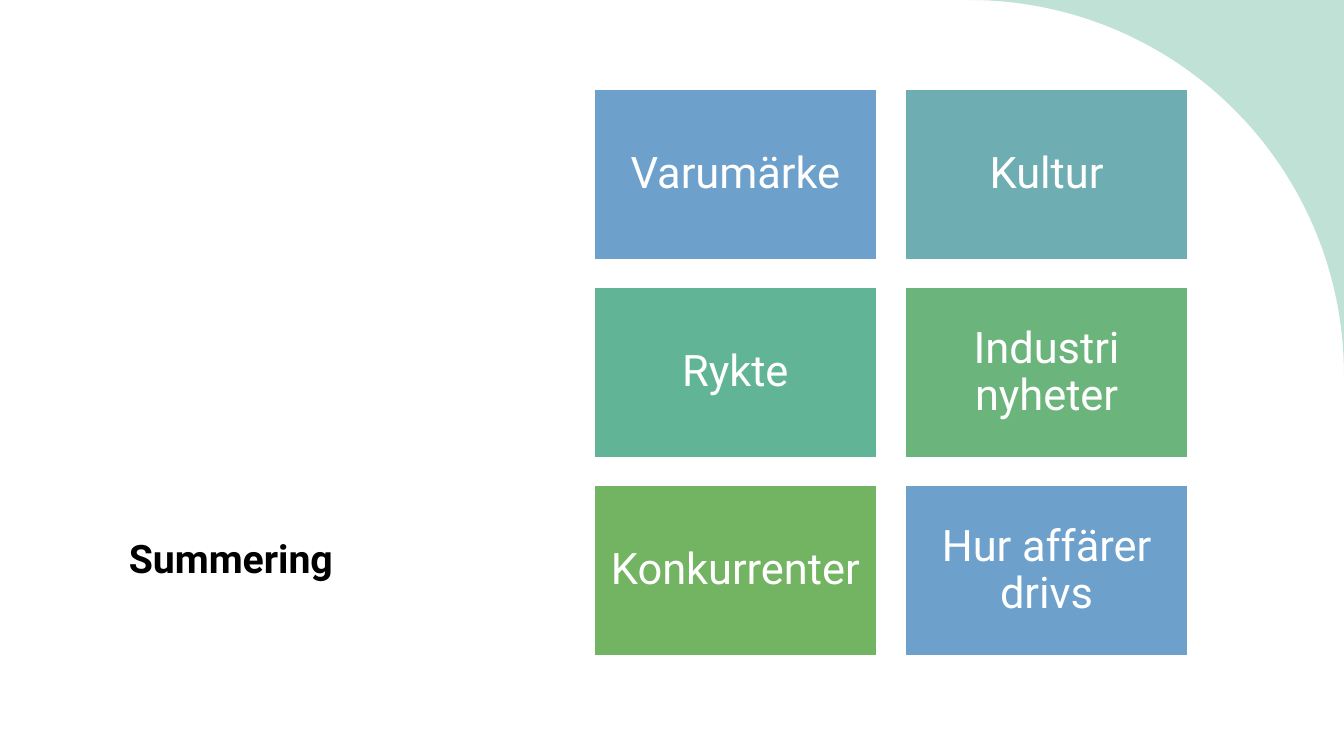
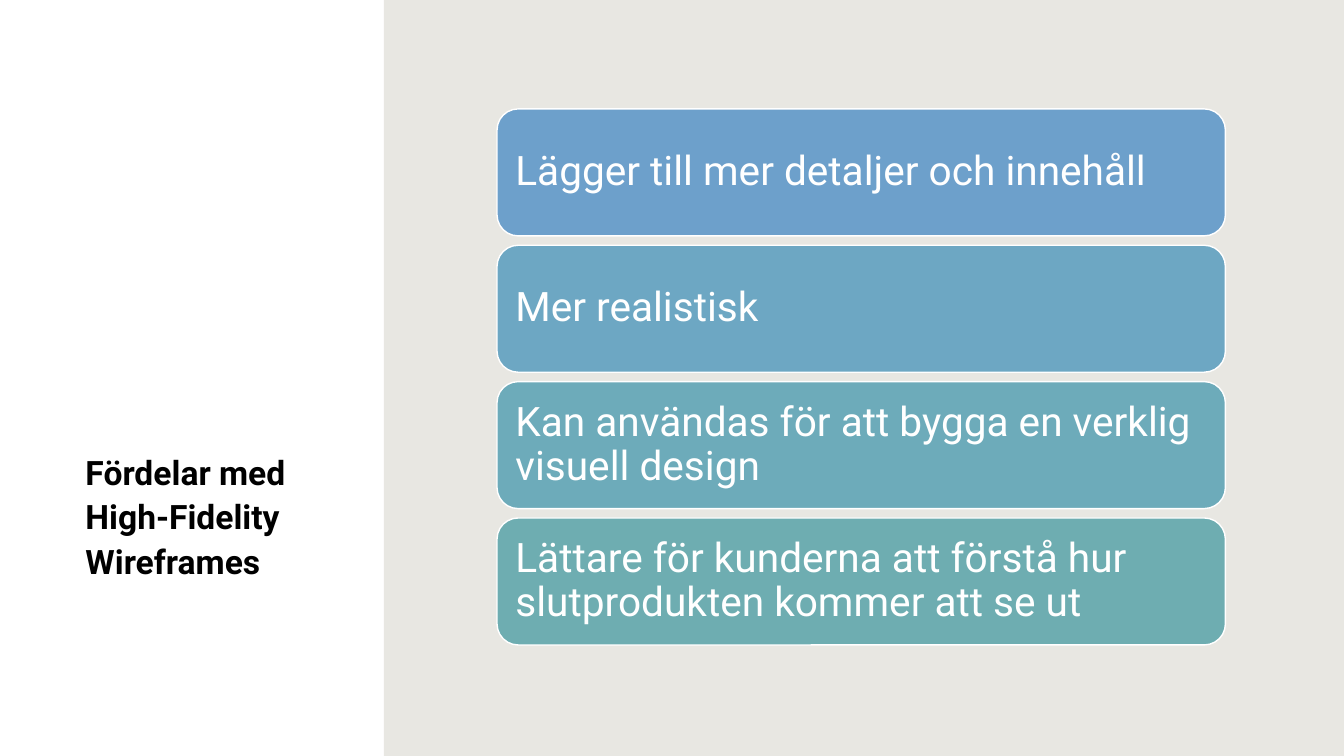
"""Build two Swedish wireframe slides: a tile grid and a stacked list."""
import math

from pptx import Presentation
from pptx.dml.color import RGBColor
from pptx.enum import shapes, text
from pptx.util import Pt

FONT = "Roboto"
WHITE = RGBColor(0xFF, 0xFF, 0xFF)
BLACK = RGBColor(0x00, 0x00, 0x00)
MINT = RGBColor(0xC0, 0xE1, 0xD5)
SAND = RGBColor(0xE8, 0xE7, 0xE2)
BLUE = RGBColor(0x6D, 0xA0, 0xCB)
SKY = RGBColor(0x6D, 0xA7, 0xC3)
LAGOON = RGBColor(0x6D, 0xAB, 0xBA)
TEAL = RGBColor(0x6E, 0xAD, 0xB1)
JADE = RGBColor(0x61, 0xB4, 0x95)
GREEN = RGBColor(0x6B, 0xB4, 0x7B)
LEAF = RGBColor(0x72, 0xB4, 0x61)

WIDTH, HEIGHT = 960, 540
CORNER_RADIUS = 267.4
CORNER_STEPS = 90
PANEL_LEFT = 274.3

SUMMARY = {
    "title": "Summering",
    "title_box": (85, 126, 257, 293),
    "title_size": 28,
    "cards": [
        ("Varumärke", BLUE),
        ("Kultur", TEAL),
        ("Rykte", JADE),
        ("Industri nyheter", GREEN),
        ("Konkurrenter", LEAF),
        ("Hur affärer drivs", BLUE),
    ],
    "columns": 2,
    "origin": (424.3, 64),
    "card": (202, 121.2),
    "gap": (20.3, 20.3),
    "kind": shapes.MSO_SHAPE.RECTANGLE,
    "align": text.PP_ALIGN.CENTER,
    "size": 31,
    "inset": 9.3,
}
BENEFITS = {
    "title": "Fördelar med High-Fidelity Wireframes",
    "title_box": (54, 165.6, 183, 252.8),
    "title_size": 24,
    "cards": [
        ("Lägger till mer detaljer och innehåll", BLUE),
        ("Mer realistisk", SKY),
        ("Kan användas för att bygga en verklig visuell design", LAGOON),
        ("Lättare för kunderna att förstå hur slutprodukten kommer att se ut", TEAL),
    ],
    "columns": 1,
    "origin": (355, 77.8),
    "card": (520.3, 90.7),
    "gap": (0, 6.7),
    "kind": shapes.MSO_SHAPE.ROUNDED_RECTANGLE,
    "align": text.PP_ALIGN.LEFT,
    "size": 29,
    "inset": 8.7,
}


def paint(shape, color, line=None):
    shape.shadow.inherit = False
    shape.fill.solid()
    shape.fill.fore_color.rgb = color
    if line is None:
        shape.line.fill.background()
    else:
        shape.line.color.rgb = line
        shape.line.width = Pt(1)


def write(shape, wording, size, color, anchor, align, spacing, bold=False):
    frame = shape.text_frame
    frame.word_wrap = True
    frame.vertical_anchor = anchor
    frame.text = wording
    paragraph = frame.paragraphs[0]
    paragraph.alignment = align
    paragraph.line_spacing = spacing
    font = paragraph.runs[0].font
    font.name, font.size, font.bold = FONT, Pt(size), bold
    font.color.rgb = color


def add_title(slide, content):
    box = slide.shapes.add_textbox(*map(Pt, content["title_box"]))
    write(box, content["title"], content["title_size"], BLACK,
          text.MSO_ANCHOR.BOTTOM, text.PP_ALIGN.LEFT, 1.1, bold=True)


def add_cards(slide, content):
    left, top = content["origin"]
    width, height = content["card"]
    gap_x, gap_y = content["gap"]
    for index, (wording, color) in enumerate(content["cards"]):
        row, column = divmod(index, content["columns"])
        x = left + column * (width + gap_x)
        y = top + row * (height + gap_y)
        card = slide.shapes.add_shape(content["kind"], Pt(x), Pt(y), Pt(width), Pt(height))
        paint(card, color, WHITE)
        write(card, wording, content["size"], WHITE,
              text.MSO_ANCHOR.MIDDLE, content["align"], 0.9)
        frame = card.text_frame
        frame.margin_left = frame.margin_right = Pt(content["inset"])
        frame.margin_top = frame.margin_bottom = Pt(content["inset"])


def add_corner(slide):
    angles = [math.pi / 2 * step / CORNER_STEPS for step in range(CORNER_STEPS + 1)]
    arc = [(Pt(WIDTH - CORNER_RADIUS * (1 - math.cos(angle))),
            Pt(CORNER_RADIUS * (1 - math.sin(angle)))) for angle in angles]
    builder = slide.shapes.build_freeform(Pt(WIDTH), Pt(0))
    builder.add_line_segments(arc, close=True)
    paint(builder.convert_to_shape(), MINT)


def add_panel(slide):
    panel = slide.shapes.add_shape(shapes.MSO_SHAPE.RECTANGLE, Pt(PANEL_LEFT), Pt(0),
                                   Pt(WIDTH - PANEL_LEFT), Pt(HEIGHT))
    paint(panel, SAND)


def main():
    presentation = Presentation()
    presentation.slide_width, presentation.slide_height = Pt(WIDTH), Pt(HEIGHT)
    for content, add_backdrop in ((SUMMARY, add_corner), (BENEFITS, add_panel)):
        slide = presentation.slides.add_slide(presentation.slide_layouts[6])
        add_backdrop(slide)
        add_title(slide, content)
        add_cards(slide, content)
    presentation.save("out.pptx")


if __name__ == "__main__":
    main()
